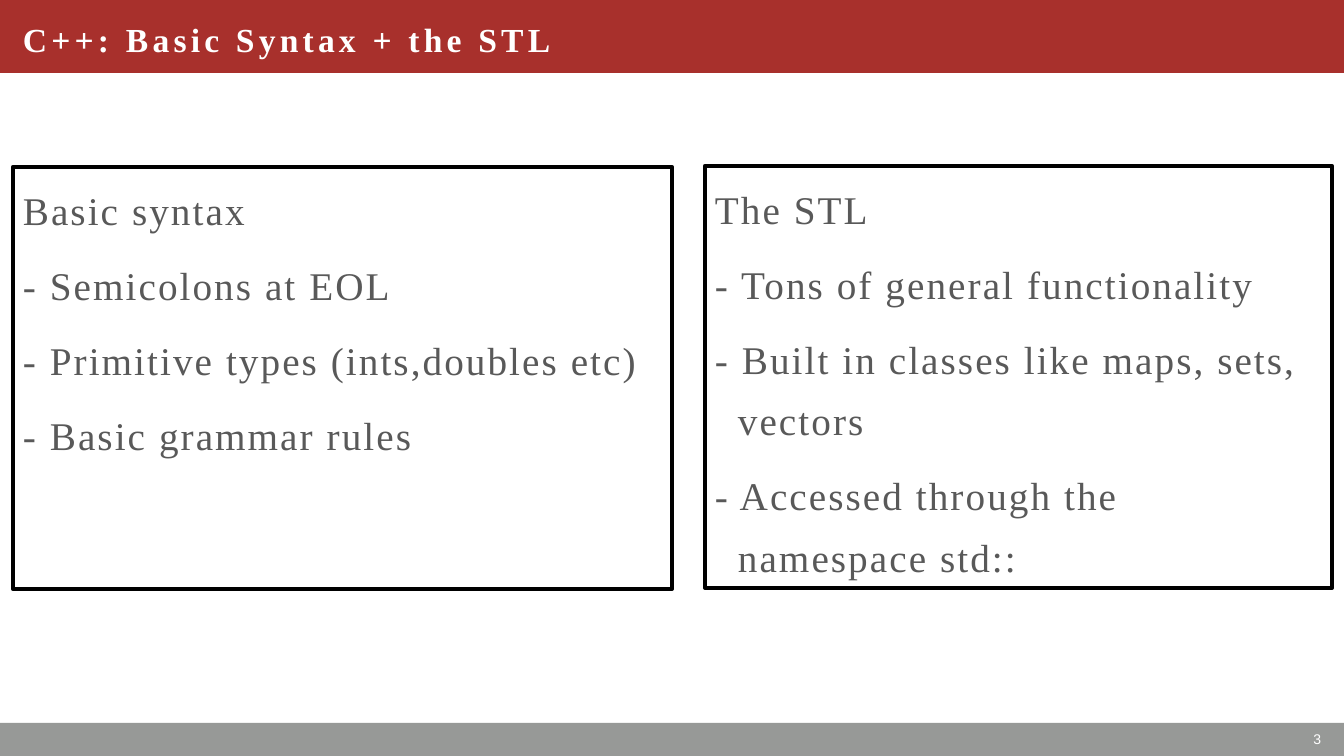
from dataclasses import dataclass
from pptx import Presentation
from pptx.dml.color import RGBColor as RGB
from pptx.enum.shapes import MSO_SHAPE as Shape
from pptx.enum.text import MSO_ANCHOR as Anchor, PP_ALIGN as Align
from pptx.util import Emu, Pt

SCALE = 914400 / 100.8


def px(n):
    return Emu(round(n * SCALE))


@dataclass(frozen=True)
class Theme:
    red: str = "A8302C"
    gray: str = "979997"
    ink: str = "595959"
    white: str = "FFFFFF"
    black: str = "000000"
    serif: str = "Times New Roman"
    sans: str = "Arial"
    head: int = 24
    body: int = 28
    note: int = 10
    edge: int = 3
    hang: int = 23


class Deck:
    def __init__(self, theme):
        self.theme = theme
        self.show = Presentation()
        self.show.slide_width, self.show.slide_height = px(1344), px(756)
        self.slide = self.show.slides.add_slide(self.show.slide_layouts[6])

    def rect(self, area, fill=None, edge=None):
        shape = self.slide.shapes.add_shape(Shape.RECTANGLE, *map(px, area))
        shape.shadow.inherit = False
        if fill:
            shape.fill.solid()
            shape.fill.fore_color.rgb = RGB.from_string(fill)
        else:
            shape.fill.background()
        if edge:
            shape.line.color.rgb = RGB.from_string(edge)
            shape.line.width = Pt(self.theme.edge)
        else:
            shape.line.fill.background()
        return shape

    def text(self, shape, lines, font, color, track=0, para=None,
             anchor=Anchor.MIDDLE, hang=0):
        frame = shape.text_frame
        frame.word_wrap = True
        frame.vertical_anchor = anchor
        for i, line in enumerate(lines):
            item = frame.add_paragraph() if i else frame.paragraphs[0]
            item.text = line
            for key, value in {"alignment": Align.LEFT, **(para or {})}.items():
                setattr(item, key, value)
            if hang and line.startswith("-"):
                props = item._p.get_or_add_pPr()
                props.set("marL", str(px(hang)))
                props.set("indent", str(-px(hang)))
            for run in item.runs:
                for key, value in font.items():
                    setattr(run.font, key, value)
                run.font.color.rgb = RGB.from_string(color)
                run._r.get_or_add_rPr().set("spc", str(track))

    def label(self, area, words, font, color, **style):
        box = self.slide.shapes.add_textbox(*map(px, area))
        self.text(box, [words], font, color, **style)

    def panel(self, area, lines):
        look = self.theme
        self.text(self.rect(area, edge=look.black), lines,
                  {"name": look.serif, "size": Pt(look.body)}, look.ink,
                  track=150, anchor=Anchor.TOP, hang=look.hang,
                  para={"line_spacing": 1.3, "space_after": Pt(10)})


def main():
    look = Theme()
    deck = Deck(look)
    deck.rect((0, 723, 1344, 33), fill=look.gray)
    deck.rect((0, 0, 1344, 73), fill=look.red)
    deck.panel((13, 167, 659, 422), [
        "Basic syntax",
        "- Semicolons at EOL",
        "- Primitive types (ints,doubles etc)",
        "- Basic grammar rules",
    ])
    deck.label((13, 0, 716, 78), "C++: Basic Syntax + the STL",
               {"name": look.serif, "size": Pt(look.head), "bold": True},
               look.white, track=300)
    deck.label((1034, 721, 297, 35), "3",
               {"name": look.sans, "size": Pt(look.note)}, look.white,
               para={"alignment": Align.RIGHT})
    deck.panel((705, 166, 627, 422), [
        "The STL",
        "- Tons of general functionality",
        "- Built in classes like maps, sets,\vvectors",
        "- Accessed through the\vnamespace std::",
    ])
    deck.show.save("out.pptx")


if __name__ == "__main__":
    main()
